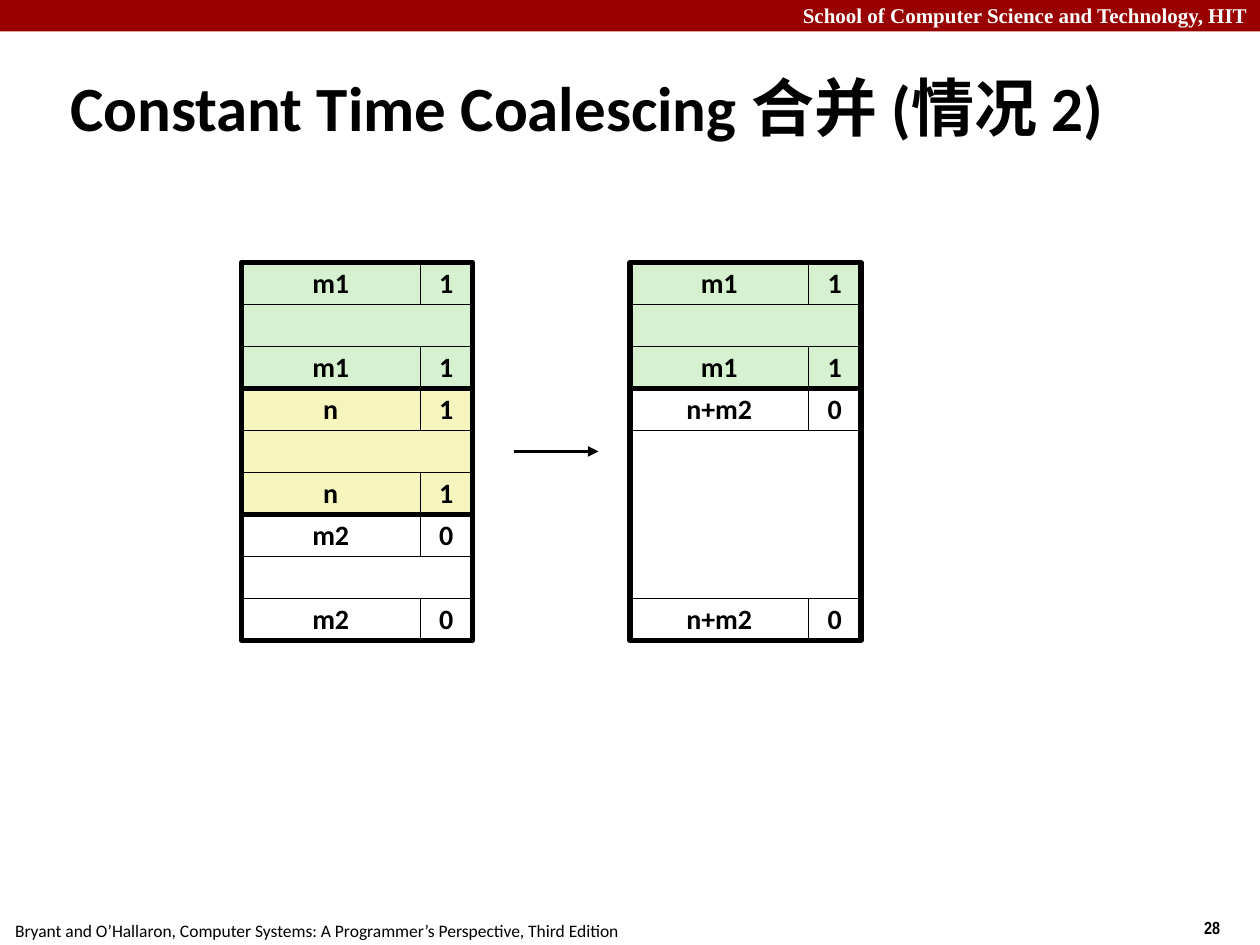
from pptx import Presentation
from pptx.dml.color import RGBColor
from pptx.enum.shapes import MSO_CONNECTOR, MSO_SHAPE
from pptx.enum.text import MSO_ANCHOR, PP_ALIGN
from pptx.oxml.ns import qn
from pptx.util import Pt
from lxml import etree

RECT = MSO_SHAPE.RECTANGLE
STRAIGHT = MSO_CONNECTOR.STRAIGHT
TOP, MIDDLE = MSO_ANCHOR.TOP, MSO_ANCHOR.MIDDLE
LEFT, CENTER, RIGHT = PP_ALIGN.LEFT, PP_ALIGN.CENTER, PP_ALIGN.RIGHT

BLACK = RGBColor(0x00, 0x00, 0x00)
WHITE = RGBColor(0xFF, 0xFF, 0xFF)
CRIMSON = RGBColor(0x99, 0x00, 0x00)
GREEN = RGBColor(0xD5, 0xF1, 0xCF)
YELLOW = RGBColor(0xF6, 0xF5, 0xBD)

SLIDE_W, SLIDE_H = 720, 540
ROW_H, SIZE_W, FLAG_W = 24, 102, 30
BLOCK_W = SIZE_W + FLAG_W
HEAP_TOP = 150


def set_text(s, text, size, font="Calibri", color=BLACK, bold=True,
             align=LEFT, anchor=TOP, wrap=False):
    tf = s.text_frame
    tf.text = text
    tf.word_wrap = wrap
    tf.vertical_anchor = anchor
    p = tf.paragraphs[0]
    p.alignment = align
    p.font.size = Pt(size)
    f = p.runs[0].font
    f.name, f.size, f.bold = font, Pt(size), bold
    f.color.rgb = color
    return p


def add_label(slide, box, text, size, **style):
    s = slide.shapes.add_textbox(*map(Pt, box))
    return set_text(s, text, size, **style)


def add_rect(slide, box, fill=None, line=None):
    """Draw a rectangle; fill None leaves it hollow, line is a width in points."""
    s = slide.shapes.add_shape(RECT, *map(Pt, box))
    s.shadow.inherit = False
    if fill is None:
        s.fill.background()
    else:
        s.fill.solid()
        s.fill.fore_color.rgb = fill
    if line is None:
        s.line.fill.background()
    else:
        s.line.color.rgb = BLACK
        s.line.width = Pt(line)
    return s


def add_tag(slide, x, y, size, flag, fill):
    """Draw a boundary tag: the size cell followed by the allocated flag."""
    for left, width, text in ((x, SIZE_W, size), (x + SIZE_W, FLAG_W, flag)):
        s = add_rect(slide, (left, y, width, ROW_H), fill, 0.25)
        p = set_text(s, text, 16, align=CENTER, anchor=MIDDLE)
        p.line_spacing = 0.98


def add_heap(slide, x, y, blocks):
    """Stack memory blocks given as (size, flag, fill, rows)."""
    for size, flag, fill, rows in blocks:
        height = rows * ROW_H
        add_tag(slide, x, y, size, flag, fill)
        add_rect(slide, (x, y + ROW_H, BLOCK_W, height - 2 * ROW_H), fill, 0.25)
        add_tag(slide, x, y + height - ROW_H, size, flag, fill)
        add_rect(slide, (x, y, BLOCK_W, height), line=3)
        y += height


def add_arrow(slide, x1, x2, y):
    arrow = slide.shapes.add_connector(STRAIGHT, Pt(x1), Pt(y), Pt(x2), Pt(y))
    arrow.line.color.rgb = BLACK
    arrow.line.width = Pt(2)
    ln = arrow.line._get_or_add_ln()
    etree.SubElement(ln, qn("a:tailEnd"), type="triangle")
    etree.SubElement(arrow._element.spPr, qn("a:effectLst"))


def add_banner(slide, width):
    add_rect(slide, (0, 0, width, 18), CRIMSON)
    add_label(slide, (0, -2, width, 22),
              "School of Computer Science and Technology, HIT", 12,
              font="Times New Roman", color=WHITE, align=RIGHT, wrap=True)


def add_footer(slide, y):
    add_label(slide, (1.5, y, 361, 19.5),
              "Bryant and O’Hallaron, Computer Systems: "
              "A Programmer’s Perspective, Third Edition", 10, bold=False)
    add_label(slide, (681, y - 1.5, 54, 19.5), "28", 10, font="Arial Narrow")


def main():
    prs = Presentation()
    prs.slide_width, prs.slide_height = Pt(SLIDE_W), Pt(SLIDE_H)
    slide = prs.slides.add_slide(prs.slide_layouts[6])

    add_banner(slide, SLIDE_W)
    add_footer(slide, 522)
    add_label(slide, (33, 38, 654, 45.5), "Constant Time Coalescing 合并 (情况 2)",
              36, anchor=MIDDLE, wrap=True)
    add_heap(slide, 138, HEAP_TOP, [("m1", "1", GREEN, 3),
                                    ("n", "1", YELLOW, 3),
                                    ("m2", "0", WHITE, 3)])
    add_arrow(slide, 294, 342, 258)
    add_heap(slide, 360, HEAP_TOP, [("m1", "1", GREEN, 3),
                                    ("n+m2", "0", WHITE, 6)])
    prs.save("out.pptx")


if __name__ == "__main__":
    main()
